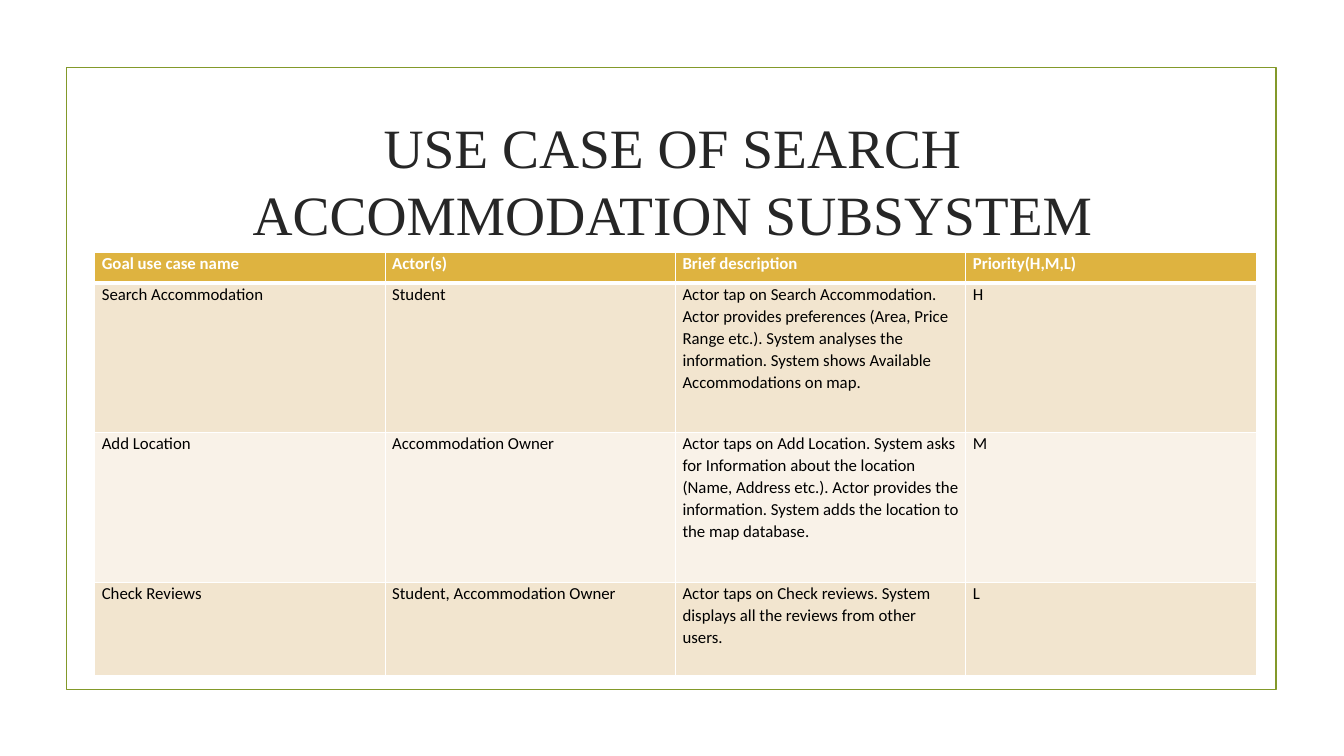
"""Build the use case slide for the search accommodation subsystem."""
from lxml.etree import SubElement
from pptx import Presentation
from pptx.dml.color import RGBColor
from pptx.enum.shapes import MSO_SHAPE as Preset
from pptx.enum.text import MSO_ANCHOR as Anchor, MSO_AUTO_SIZE as AutoSize, PP_ALIGN as Align
from pptx.oxml.ns import qn
from pptx.util import Inches, Pt

COLOURS = {
    "frame": "83992A",
    "title": "262626",
    "header": "DEB340",
    "odd": "F2E5CF",
    "even": "F9F2E8",
    "white": "FFFFFF",
    "text": "000000",
}
ROW_HEIGHTS = [0.31, 1.48, 1.49, 0.92]
COLUMN_WIDTH = 2.88
USE_CASES = [
    ["Goal use case name", "Actor(s)", "Brief description", "Priority(H,M,L)"],
    ["Search Accommodation", "Student",
     "Actor tap on Search Accommodation. Actor provides preferences (Area, Price Range etc.). "
     "System analyses the information. System shows Available Accommodations on map.", "H"],
    ["Add Location", "Accommodation Owner",
     "Actor taps on Add Location. System asks for Information about the location "
     "(Name, Address etc.). Actor provides the information. "
     "System adds the location to the map database.", "M"],
    ["Check Reviews", "Student, Accommodation Owner",
     "Actor taps on Check reviews. System displays all the reviews from other users.", "L"],
]


def colour(name):
    return RGBColor.from_string(COLOURS[name])


def add_run(paragraph, words, font, size, ink, bold=False):
    run = paragraph.add_run()
    run.text = words
    run.font.name = font
    run.font.size = Pt(size)
    run.font.bold = bold
    run.font.color.rgb = colour(ink)


def add_frame(slide):
    frame = slide.shapes.add_shape(
        Preset.RECTANGLE, Inches(0.66), Inches(0.67), Inches(12), Inches(6.17))
    frame.shadow.inherit = False
    frame.fill.background()
    frame.line.color.rgb = colour("frame")
    frame.line.width = Pt(1.25)


def fill_title(slide, words):
    title = slide.shapes.title
    title.left, title.top = Inches(1.42), Inches(1.07)
    title.width, title.height = Inches(10.5), Inches(1.43)
    heading = title.text_frame
    heading.word_wrap = True
    heading.auto_size = AutoSize.NONE
    heading.vertical_anchor = Anchor.MIDDLE
    paragraph = heading.paragraphs[0]
    paragraph.alignment = Align.CENTER
    paragraph.line_spacing = 1.0
    add_run(paragraph, words, "Times New Roman", 39.6, "title")


def add_borders(cell, top, bottom):
    properties = cell._tc.get_or_add_tcPr()
    for side, points in (("L", 1), ("R", 1), ("T", top), ("B", bottom)):
        border = SubElement(properties, qn(f"a:ln{side}"), w=str(Pt(points)))
        solid = SubElement(border, qn("a:solidFill"))
        SubElement(solid, qn("a:srgbClr"), val=COLOURS["white"])


def fill_cell(cell, words, row):
    is_header = row == 0
    add_borders(cell, top=3 if row == 1 else 1, bottom=3 if is_header else 1)
    cell.fill.solid()
    cell.fill.fore_color.rgb = colour("header" if is_header else "odd" if row % 2 else "even")
    cell.margin_left = cell.margin_right = Inches(0.07)
    cell.margin_top = cell.margin_bottom = 0
    paragraph = cell.text_frame.paragraphs[0]
    paragraph.line_spacing = 1.07
    add_run(paragraph, words, "Calibri", 12, "white" if is_header else "text", is_header)


def add_use_case_table(slide):
    column_count = len(USE_CASES[0])
    table = slide.shapes.add_table(
        len(USE_CASES), column_count, Inches(0.94), Inches(2.5),
        Inches(COLUMN_WIDTH * column_count), Inches(sum(ROW_HEIGHTS))).table
    for column in table.columns:
        column.width = Inches(COLUMN_WIDTH)
    for row, (height, entries) in enumerate(zip(ROW_HEIGHTS, USE_CASES)):
        table.rows[row].height = Inches(height)
        for column, words in enumerate(entries):
            fill_cell(table.cell(row, column), words, row)


def main():
    deck = Presentation()
    deck.slide_width, deck.slide_height = Inches(13.33), Inches(7.5)
    slide = deck.slides.add_slide(deck.slide_layouts[5])
    add_frame(slide)
    fill_title(slide, "USE CASE OF SEARCH ACCOMMODATION SUBSYSTEM")
    add_use_case_table(slide)
    deck.save("out.pptx")


if __name__ == "__main__":
    main()
